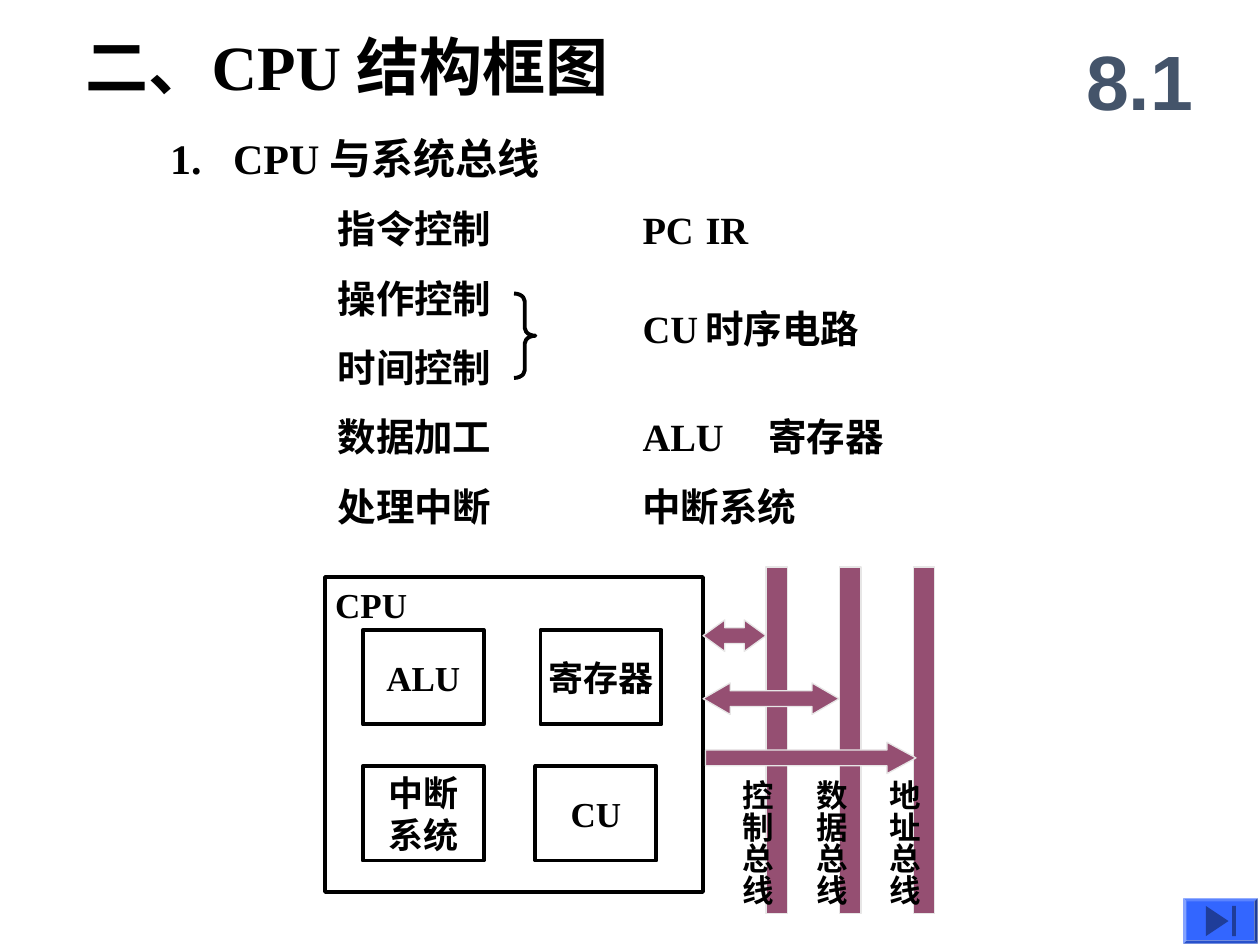
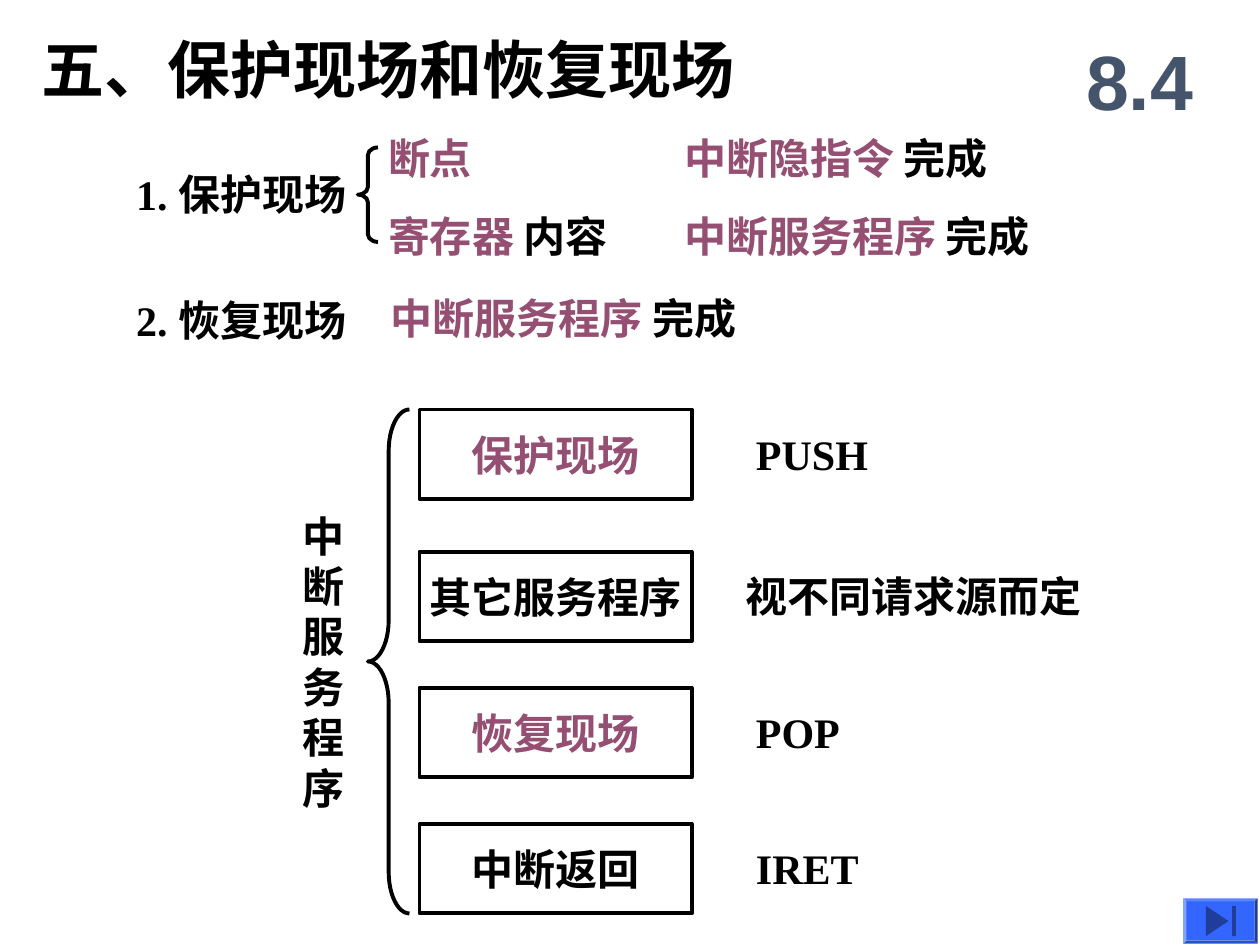
from lxml import etree
from pptx import Presentation
from pptx.dml.color import RGBColor
from pptx.enum import shapes, text
from pptx.oxml.ns import qn
from pptx.util import Inches, Pt

BLACK, PLUM, SLATE = "000000", "954F72", "44546A"
PALE, BLUE, NAVY = "E7E6E6", "3366FF", "1F3D99"
SERIF, SANS = "Times New Roman", "Arial"
SHAPE = shapes.MSO_SHAPE
LEFT, CENTER = text.PP_ALIGN.LEFT, text.PP_ALIGN.CENTER
TOP, MIDDLE = text.MSO_ANCHOR.TOP, text.MSO_ANCHOR.MIDDLE


def rgb(value):
    return RGBColor.from_string(value)


class Deck:
    """Shared style and the slide being built."""

    def __init__(self):
        self.prs = Presentation()
        self.prs.slide_width, self.prs.slide_height = Inches(10), Inches(7.5)
        self.slide = None

    def new_slide(self, title, title_at, section):
        self.slide = self.prs.slides.add_slide(self.prs.slide_layouts[1])
        self.place(self.slide.shapes.title, *title_at)
        self.set_lines(self.slide.shapes.title.text_frame, [title], 36)
        self.label([section], 8.42, 0.17, 1.25, 0.92, size=44, color=SLATE,
                   font=SANS, align=CENTER)
        self.end_button()

    def place(self, sp, x, y, w, h):
        sp.left, sp.top, sp.width, sp.height = map(Inches, (x, y, w, h))

    def set_lines(self, tf, lines, size, color=BLACK, font=SERIF, align=LEFT,
                  anchor=MIDDLE, gap=0, tab=None, inset=0):
        """Each line is a string or a list of (text, colour) runs."""
        tf.word_wrap, tf.auto_size = True, text.MSO_AUTO_SIZE.NONE
        tf.vertical_anchor = anchor
        tf.margin_left = tf.margin_right = Inches(inset)
        tf.margin_top = tf.margin_bottom = Inches(0.05)
        for i, line in enumerate(lines):
            p = tf.paragraphs[0] if i == 0 else tf.add_paragraph()
            p.alignment = align
            p.space_before, p.space_after = Pt(gap if i else 0), Pt(0)
            pPr = p._p.get_or_add_pPr()
            pPr.set("marL", "0")
            pPr.set("indent", "0")
            etree.SubElement(pPr, qn("a:buNone"))
            if tab:
                tabs = etree.SubElement(pPr, qn("a:tabLst"))
                etree.SubElement(tabs, qn("a:tab"), pos=str(int(Inches(tab))), algn="l")
            for words, run_color in [(line, color)] if isinstance(line, str) else line:
                r = p.add_run()
                r.text = words
                r.font.name, r.font.size, r.font.bold = font, Pt(size), True
                r.font.color.rgb = rgb(run_color)

    def body(self, lines, x, y, w, h, size, gap):
        sp = self.slide.placeholders[1]
        self.place(sp, x, y, w, h)
        self.set_lines(sp.text_frame, lines, size, anchor=TOP, gap=gap)

    def label(self, lines, x, y, w, h=0.5, size=24, **style):
        box = self.slide.shapes.add_textbox(*map(Inches, (x, y, w, h)))
        self.set_lines(box.text_frame, lines, size, **style)
        return box

    def shape(self, kind, x, y, w, h, fill=None, line=None, width=0.75, adj=()):
        sp = self.slide.shapes.add_shape(kind, *map(Inches, (x, y, w, h)))
        self.paint(sp, fill, line, width)
        for i, value in enumerate(adj):
            sp.adjustments[i] = value
        return sp

    def paint(self, sp, fill, line=None, width=0.75):
        sp.shadow.inherit = False
        if fill:
            sp.fill.solid()
            sp.fill.fore_color.rgb = rgb(fill)
        else:
            sp.fill.background()
        if line:
            sp.line.color.rgb, sp.line.width = rgb(line), Pt(width)
        else:
            sp.line.fill.background()

    def box(self, lines, x, y, w, h, size, **style):
        sp = self.shape(SHAPE.RECTANGLE, x, y, w, h, line=BLACK, width=2.25)
        self.set_lines(sp.text_frame, lines, size, **style)

    def brace(self, kind, x, y, w, h, curl):
        self.shape(kind, x, y, w, h, line=BLACK, width=2.25, adj=(curl, 0.5))

    def bus(self, kind, x, y, w, h, adj=()):
        self.shape(kind, x, y, w, h, fill=PLUM, line=PALE, adj=adj)

    def vertical_label(self, words, x, y, w, h):
        tf = self.label([words], x, y, w, h, size=18, anchor=TOP).text_frame
        tf.word_wrap = False
        tf.margin_left = tf.margin_right = Inches(0.05)
        tf.margin_top = tf.margin_bottom = Inches(0.1)
        tf._txBody.bodyPr.set("vert", "eaVert")

    def end_button(self):
        self.shape(SHAPE.BEVEL, 9.39, 7.13, 0.59, 0.36, fill=BLUE, adj=(0.07,))
        pen = self.slide.shapes.build_freeform(Inches(9.57), Inches(7.19))
        pen.add_line_segments([(Inches(9.75), Inches(7.31)),
                               (Inches(9.57), Inches(7.43))])
        self.paint(pen.convert_to_shape(), NAVY)
        self.shape(SHAPE.RECTANGLE, 9.78, 7.19, 0.03, 0.24, fill=NAVY)


def cpu_structure(deck):
    deck.new_slide("二、CPU 结构框图", (0.68, 0.22, 6.05, 0.6), "8.1")
    deck.label(["1.\tCPU 与系统总线"], 1.35, 1, 3.3, tab=0.42)

    # Functions and the units that carry them out
    deck.body(["指令控制", "操作控制", "时间控制", "数据加工", "处理中断"],
              2.68, 1.58, 1.4, 2.67, size=22, gap=13.2)
    deck.brace(SHAPE.RIGHT_BRACE, 4.08, 2.33, 0.17, 0.67, 0.36)
    for unit, y, tab in [("PC\tIR", 1.58, 0.63), ("CU\t时序电路", 2.37, 0.73),
                         ("ALU\t寄存器", 3.23, 0.86), ("中断系统", 3.78, None)]:
        deck.label([unit], 5.1, y, 2.8, 0.47, size=22, tab=tab)

    # CPU block
    deck.box(["CPU"], 2.58, 4.58, 3, 2.5, 20, anchor=TOP, inset=0.08)
    for lines, x, y in [(["ALU"], 2.88, 5), (["寄存器"], 4.29, 5),
                        (["中断", "系统"], 2.88, 6.08), (["CU"], 4.25, 6.08)]:
        deck.box(lines, x, y, 0.96, 0.75, 20, align=CENTER)

    # System buses
    for i, name in enumerate(["控制总线", "数据总线", "地址总线"]):
        x = 6.08 + i * 0.585
        deck.bus(SHAPE.RECTANGLE, x, 4.5, 0.17, 2.75)
        deck.vertical_label(name, x - 0.37, 6.09, 0.5, 1.1)
    deck.bus(SHAPE.LEFT_RIGHT_ARROW, 5.58, 4.92, 0.5, 0.25, (0.5, 0.69))
    deck.bus(SHAPE.LEFT_RIGHT_ARROW, 5.58, 5.42, 1.08, 0.25, (0.5, 0.86))
    deck.bus(SHAPE.RIGHT_ARROW, 5.6, 5.89, 1.67, 0.25, (0.5, 0.92))


def save_and_restore(deck):
    deck.new_slide("五、保护现场和恢复现场", (0.33, 0.25, 6.92, 0.58), "8.4")

    # The two tasks and who completes them
    deck.body(["1. 保护现场", "2. 恢复现场"], 1.08, 1.29, 2, 1.5, size=24, gap=43.2)
    deck.brace(SHAPE.LEFT_BRACE, 2.84, 1.17, 0.16, 0.75, 0.38)
    for subject, rest, x, y in [("断点", "", 3.08, 1), ("寄存器 ", "内容", 3.08, 1.62),
                                ("中断隐指令 ", "完成", 5.43, 1),
                                ("中断服务程序 ", "完成", 5.43, 1.62),
                                ("中断服务程序 ", "完成", 3.1, 2.27)]:
        runs = [(subject, PLUM), (rest, BLACK)] if rest else [(subject, PLUM)]
        deck.label([runs], x, y, 3.2 if rest == "完成" else 2.17)

    # Interrupt service routine
    deck.label(list("中断服务程序"), 2.4, 4, 0.4, 2.5, anchor=TOP)
    deck.brace(SHAPE.LEFT_BRACE, 2.92, 3.25, 0.33, 4, 1)
    steps = [("保护现场", PLUM, "PUSH", 6), ("其它服务程序", BLACK, "视不同请求源而定", 5.92),
             ("恢复现场", PLUM, "POP", 6), ("中断返回", BLACK, "IRET", 6)]
    for (step, color, note, note_x), y in zip(steps, (3.25, 4.38, 5.46, 6.54)):
        deck.box([step], 3.33, y, 2.16, 0.71, 24, color=color, align=CENTER)
        deck.label([note], note_x, y + 0.06, 2.83, 0.58)


def main():
    deck = Deck()
    cpu_structure(deck)
    save_and_restore(deck)
    deck.prs.save("out.pptx")


if __name__ == "__main__":
    main()
